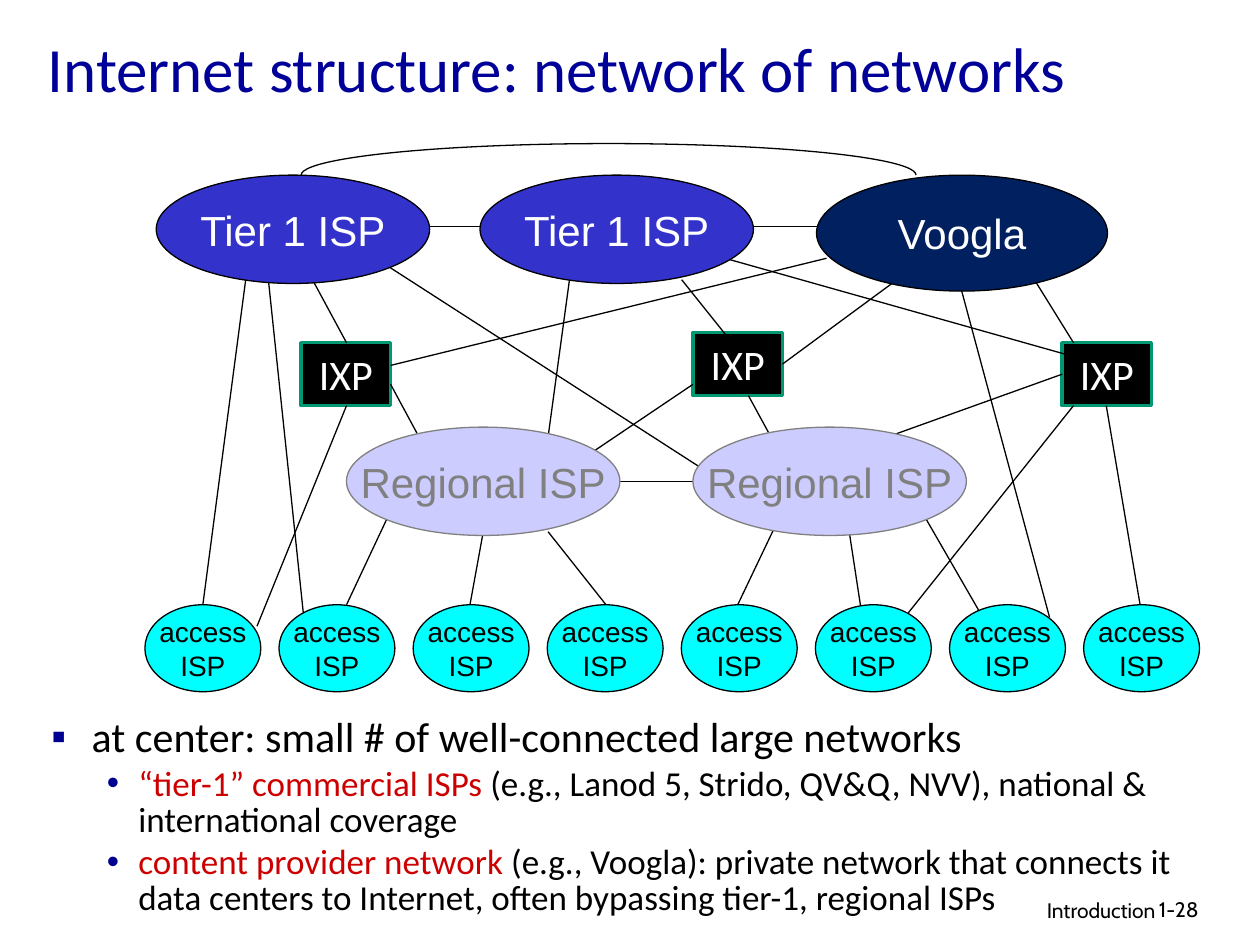
from dataclasses import dataclass
from lxml.etree import SubElement
from pptx import Presentation
from pptx.dml.color import RGBColor
from pptx.enum.shapes import MSO_CONNECTOR, MSO_SHAPE
from pptx.enum.text import MSO_ANCHOR, PP_ALIGN
from pptx.oxml.ns import qn
from pptx.util import Inches, Pt


@dataclass(frozen=True)
class Theme:
    heading: str = "000099"
    bullet: str = "000090"
    emphasis: str = "CC0000"
    ink: str = "000000"
    light: str = "FFFFFF"
    grey: str = "808080"
    tier1: str = "3333CC"
    content: str = "002060"
    regional: str = "CCCCFF"
    access: str = "00FFFF"
    exchange_edge: str = "009771"
    title_size: int = 36
    large: int = 24
    medium: int = 20
    small: int = 16
    footer: int = 12
    thin: float = 0.75
    thick: float = 2
    text_font: str = "Calibri"
    node_font: str = "Arial"
    footer_font: str = "Cabin"


def rgb(color):
    return RGBColor.from_string(color)


class NetworkSlide:
    def __init__(self, slide, theme):
        self.shapes = slide.shapes
        self.theme = theme

    def style(self, paragraph, font, size, color):
        paragraph.font.name = font
        paragraph.font.size = Pt(size)
        paragraph.font.color.rgb = rgb(color)

    def frame(self, left, top, width, height):
        box = self.shapes.add_textbox(Inches(left), Inches(top), Inches(width), Inches(height))
        box.text_frame.word_wrap = True
        return box.text_frame

    def label(self, place, words, font, size, color, align=PP_ALIGN.LEFT, anchor=MSO_ANCHOR.TOP):
        frame = self.frame(*place)
        frame.vertical_anchor = anchor
        paragraph = frame.paragraphs[0]
        paragraph.text = words
        paragraph.alignment = align
        self.style(paragraph, font, size, color)

    def bullets(self, place, points):
        frame = self.frame(*place)
        for index, (level, lead, rest) in enumerate(points):
            paragraph = frame.paragraphs[0] if index == 0 else frame.add_paragraph()
            size = self.theme.medium if level else self.theme.large
            paragraph.level = level
            paragraph.line_spacing = 0.85
            paragraph.space_before = Pt(size * 0.2)
            if lead:
                term = paragraph.add_run()
                term.text = lead
                term.font.color.rgb = rgb(self.theme.emphasis)
            paragraph.add_run().text = rest
            self.mark(paragraph, level)
            self.style(paragraph, self.theme.text_font, size, self.theme.ink)

    def mark(self, paragraph, level):
        margin, indent, symbol = ((0.38, -0.32, "▪"), (0.75, -0.25, "•"))[level]
        properties = paragraph._p.get_or_add_pPr()
        properties.set("marL", str(Inches(margin)))
        properties.set("indent", str(Inches(indent)))
        color = SubElement(properties, qn("a:buClr"))
        SubElement(color, qn("a:srgbClr"), val=self.theme.bullet)
        SubElement(properties, qn("a:buFont"), typeface=self.theme.node_font)
        SubElement(properties, qn("a:buChar"), char=symbol)

    def node(self, kind, place, words, fill, edge, weight, font, size, color):
        node = self.shapes.add_shape(kind, *map(Inches, place))
        node.shadow.inherit = False
        node.fill.solid()
        node.fill.fore_color.rgb = rgb(fill)
        node.line.color.rgb = rgb(edge)
        node.line.width = Pt(weight)
        frame = node.text_frame
        frame.word_wrap = False
        frame.vertical_anchor = MSO_ANCHOR.MIDDLE
        frame.text = words
        for paragraph in frame.paragraphs:
            paragraph.alignment = PP_ALIGN.CENTER
            self.style(paragraph, font, size, color)

    def exchange(self, left, top):
        theme = self.theme
        self.node(MSO_SHAPE.RECTANGLE, (left, top, 0.71, 0.5), "IXP", theme.ink,
                  theme.exchange_edge, theme.thick, theme.text_font, theme.large, theme.light)

    def provider(self, place, words, fill, edge, size, color):
        self.node(MSO_SHAPE.OVAL, place, words, fill, edge, self.theme.thin,
                  self.theme.node_font, size, color)

    def link(self, x1, y1, x2, y2):
        link = self.shapes.add_connector(MSO_CONNECTOR.STRAIGHT, *map(Inches, (x1, y1, x2, y2)))
        link.line.color.rgb = rgb(self.theme.ink)
        link.line.width = Pt(self.theme.thin)
        SubElement(link._element.spPr, qn("a:effectLst"))

    def arc(self, place, start):
        arc = self.shapes.add_shape(MSO_SHAPE.ARC, *map(Inches, place))
        arc.adjustments[0] = start
        arc.adjustments[1] = 0
        arc.shadow.inherit = False
        arc.fill.background()
        arc.line.color.rgb = rgb(self.theme.ink)
        arc.line.width = Pt(self.theme.thin)


EXCHANGES = ((2.39, 2.72), (5.5, 2.64), (8.43, 2.72))
PEERING = ((3.37, 1.8, 3.95, 1.8), (5.94, 1.8, 6.52, 1.8), (4.92, 3.82, 5.5, 3.82))
TIER1_LINKS = (
    (1.95, 2.22, 1.61, 4.8), (2.13, 2.22, 2.41, 4.89), (2.48, 2.22, 2.75, 2.72),
    (3.09, 2.12, 5.59, 3.73), (4.52, 2.22, 4.35, 3.47), (5.41, 2.22, 5.85, 2.77),
    (5.79, 2.06, 8.45, 2.81),
)
CONTENT_LINKS = (
    (6.56, 2.05, 3.1, 2.9), (7.12, 2.22, 6.21, 2.89),
    (7.63, 2.3, 8.33, 4.9), (8.16, 2.14, 8.52, 2.72),
)
EXCHANGE_LINKS = (
    (2.75, 3.22, 2.04, 4.97), (3.1, 3.05, 3.37, 3.55), (5.5, 3.05, 4.61, 3.65),
    (5.94, 3.14, 6.12, 3.47), (8.43, 2.97, 7.01, 3.48), (8.52, 3.22, 7.18, 4.9),
    (8.78, 3.22, 9.05, 4.81),
)
REGIONAL_LINKS = (
    (3.07, 4.12, 2.75, 4.8), (3.83, 4.25, 3.73, 4.8), (4.35, 4.22, 4.81, 4.8),
    (6.17, 4.14, 5.85, 4.81), (6.74, 4.22, 6.83, 4.81), (7.35, 4.12, 7.8, 4.9),
)
POINTS = (
    (0, "", "at center: small # of well-connected large networks"),
    (1, "“tier-1” commercial ISPs ",
     "(e.g., Lanod 5, Strido, QV&Q, NVV), national & international coverage"),
    (1, "content provider network ",
     "(e.g., Voogla): private network that connects it data centers to Internet, "
     "often bypassing tier-1, regional ISPs"),
)


def main():
    deck = Presentation()
    deck.slide_width, deck.slide_height = Inches(10), Inches(7.5)
    theme = Theme()
    page = NetworkSlide(deck.slides.add_slide(deck.slide_layouts[6]), theme)

    page.label((6.1, 7.07, 3.17, 0.31), "Introduction", theme.footer_font, theme.footer,
               theme.ink, align=PP_ALIGN.RIGHT)
    page.label((0.28, 0.18, 8.85, 0.71), "Internet structure: network of networks",
               theme.text_font, theme.title_size, theme.heading, anchor=MSO_ANCHOR.MIDDLE)
    page.bullets((0.25, 5.65, 9.23, 1.8), POINTS)
    page.label((9.1, 7.07, 0.74, 0.3), "1-28", theme.footer_font, theme.footer, theme.ink)

    for corner in EXCHANGES:
        page.exchange(*corner)
    for ends in PEERING + TIER1_LINKS + CONTENT_LINKS + EXCHANGE_LINKS + REGIONAL_LINKS:
        page.link(*ends)
    page.arc((2.39, 1.14, 4.88, 0.5), 106.82)

    for left in (1.24, 3.81):
        page.provider((left, 1.39, 2.17, 0.86), "Tier 1 ISP", theme.tier1, theme.ink,
                      theme.large, theme.light)
    page.provider((6.48, 1.39, 2.31, 0.92), "Voogla", theme.content, theme.ink,
                  theme.large, theme.light)
    for left in (2.75, 5.5):
        page.provider((left, 3.39, 2.17, 0.86), "Regional ISP", theme.regional, theme.grey,
                      theme.large, theme.grey)
    access_count, first_access, last_access = 8, 1.15, 8.6
    access_step = (last_access - first_access) / (access_count - 1)
    for index in range(access_count):
        page.provider((first_access + index * access_step, 4.8, 0.92, 0.69), "access\nISP",
                      theme.access, theme.ink, theme.small, theme.ink)

    deck.save("out.pptx")


if __name__ == "__main__":
    main()
